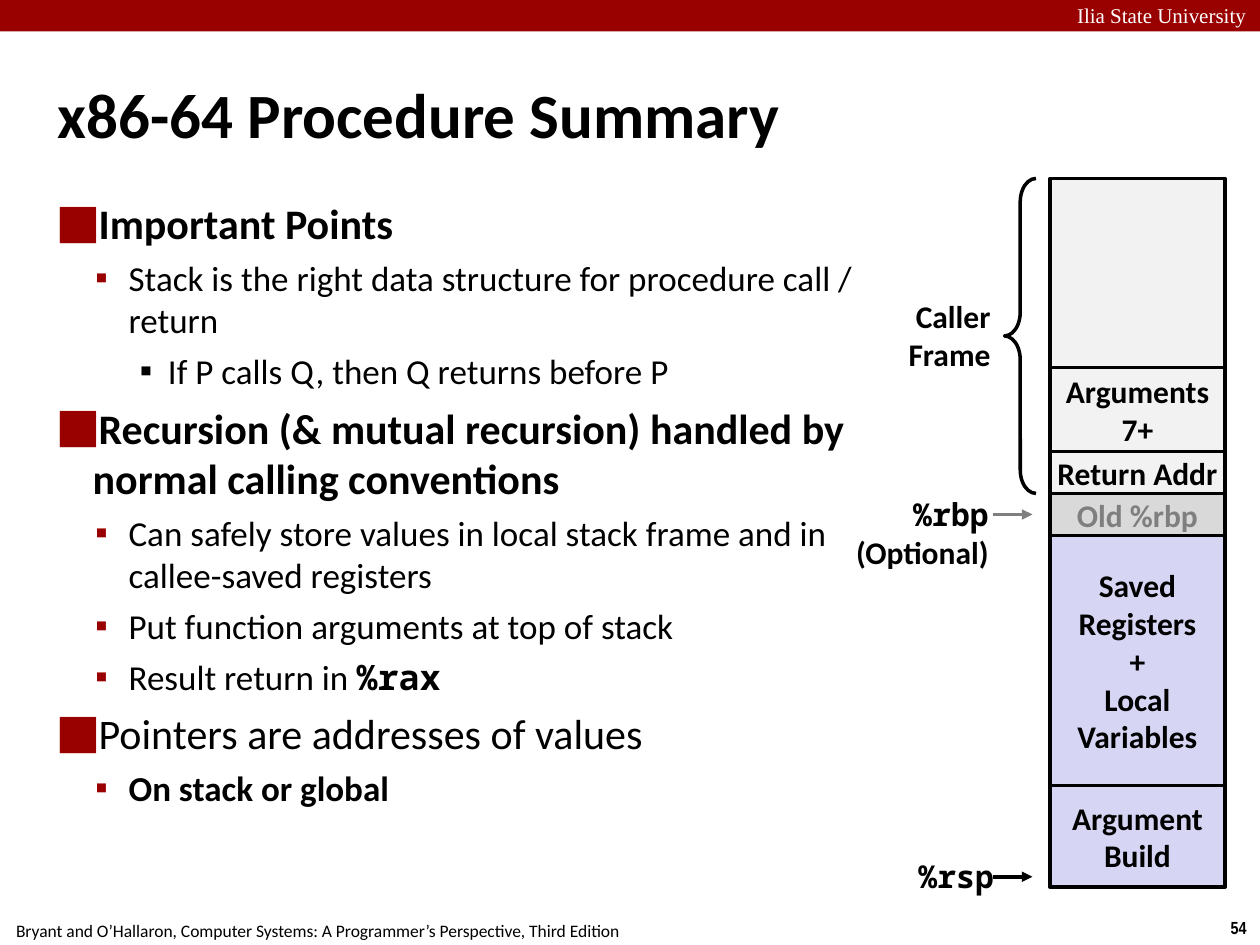
from dataclasses import dataclass

from lxml import etree
from pptx import Presentation
from pptx.dml.color import RGBColor
from pptx.enum import shapes, text
from pptx.oxml import ns
from pptx.util import Pt


@dataclass(frozen=True)
class Theme:
    red: str = "990000"
    black: str = "000000"
    white: str = "FFFFFF"
    grey: str = "7F7F7F"
    caller: str = "F2F2F2"
    optional: str = "D9D9D9"
    callee: str = "D6D6F4"
    sans: str = "Calibri"
    mono: str = "Noto Sans Mono"
    serif: str = "Times New Roman"
    narrow: str = "Arial Narrow"
    title: int = 36
    heading: int = 24
    point: int = 20
    label: int = 18
    banner: int = 12
    footer: int = 10
    line: int = 2


THEME = Theme()
LEFT, CENTER, RIGHT = text.PP_ALIGN.LEFT, text.PP_ALIGN.CENTER, text.PP_ALIGN.RIGHT

# For each level: left margin, hanging indent, space before, size, bullet, bullet colour
LEVELS = [
    (20, -20, 6, THEME.heading, "⬛", THEME.red),
    (40.5, -19, 5, THEME.point, "▪", THEME.red),
    (63, -16, 5, THEME.point, "▪", THEME.black),
]

# Level and spans (text, bold, font) of each point
POINTS = [
    (0, [("Important Points", True, THEME.sans)]),
    (1, [("Stack is the right data structure for procedure call / return", False, THEME.sans)]),
    (2, [("If P calls Q, then Q returns before P", False, THEME.sans)]),
    (0, [("Recursion (& mutual recursion) handled by normal calling conventions",
          True, THEME.sans)]),
    (1, [("Can safely store values in local stack frame and in callee-saved registers",
          False, THEME.sans)]),
    (1, [("Put function arguments at top of stack", False, THEME.sans)]),
    (1, [("Result return in ", False, THEME.sans), ("%rax", True, THEME.mono)]),
    (0, [("Pointers are addresses of values", False, THEME.sans)]),
    (1, [("On stack or global", True, THEME.sans)]),
]

# Height, fill, text colour and lines of each stack cell, top down
CELLS = [
    (108, THEME.caller, THEME.black, ""),
    (48, THEME.caller, THEME.black, "Arguments\n7+"),
    (24, THEME.caller, THEME.black, "Return Addr"),
    (24, THEME.optional, THEME.grey, "Old %rbp"),
    (143, THEME.callee, THEME.black, "Saved\nRegisters\n+\nLocal\nVariables"),
    (58, THEME.callee, THEME.black, "Argument\nBuild"),
]


def points(*lengths):
    return [Pt(length) for length in lengths]


def style(span, size, color=THEME.black, font=THEME.sans, bold=False):
    span.font.size = Pt(size)
    span.font.name = font
    span.font.bold = bold
    span.font.color.rgb = RGBColor.from_string(color)


def set_margins(frame, side, end):
    frame.margin_left = frame.margin_right = Pt(side)
    frame.margin_top = frame.margin_bottom = Pt(end)


def write(frame, words, size, align, **look):
    frame.text = words
    for para in frame.paragraphs:
        para.alignment = align
        for span in para.runs:
            style(span, size, **look)


def add_text(page, area, words, size, align=LEFT, margins=(3, 3), wrap=True, **look):
    frame = page.shapes.add_textbox(*points(*area)).text_frame
    frame.word_wrap = wrap
    set_margins(frame, *margins)
    write(frame, words, size, align, **look)
    return frame


def add_rect(page, area, fill):
    box = page.shapes.add_shape(shapes.MSO_SHAPE.RECTANGLE, *points(*area))
    box.shadow.inherit = False
    box.fill.solid()
    box.fill.fore_color.rgb = RGBColor.from_string(fill)
    return box


def set_line(line, color):
    line.color.rgb = RGBColor.from_string(color)
    line.width = Pt(THEME.line)


def add_arrow(page, left, right, middle, color):
    arrow = page.shapes.add_connector(
        shapes.MSO_CONNECTOR.STRAIGHT, *points(left, middle, right, middle))
    set_line(arrow.line, color)
    etree.SubElement(arrow.line._get_or_add_ln(), ns.qn("a:tailEnd"), type="triangle")
    etree.SubElement(arrow._element.spPr, ns.qn("a:effectLst"))


def add_bullet(para, margin, indent, mark, color):
    props = para._p.get_or_add_pPr()
    props.set("marL", str(Pt(margin)))
    props.set("indent", str(Pt(indent)))
    bullet_color = etree.SubElement(props, ns.qn("a:buClr"))
    etree.SubElement(bullet_color, ns.qn("a:srgbClr"), val=color)
    etree.SubElement(props, ns.qn("a:buFont"), typeface=THEME.sans)
    etree.SubElement(props, ns.qn("a:buChar"), char=mark)


def draw_banner(page, left, top, width, height):
    add_rect(page, (left, top, width, height), THEME.red).line.fill.background()
    add_text(page, (left + 615.5, top + 1.5, 123, 14), "Ilia State University",
             THEME.banner, margins=(0, 0), color=THEME.white, font=THEME.serif)


def draw_footer(page, left, top, width, height):
    small = dict(size=THEME.footer, align=CENTER, margins=(7.2, 3.6), wrap=False)
    add_text(page, (left - 1.5, top + 1.5, 366, height),
             "Bryant and O’Hallaron, Computer Systems: A Programmer’s Perspective, Third Edition",
             **small)
    add_text(page, (left + width - 24.5, top, 24.5, height), "54",
             font=THEME.narrow, bold=True, **small)


def draw_title(page, *area):
    frame = add_text(page, area, "x86-64 Procedure Summary", THEME.title, bold=True)
    frame.vertical_anchor = text.MSO_ANCHOR.MIDDLE


def draw_points(page, *area):
    frame = add_text(page, area, "", THEME.heading)
    for index, (level, spans) in enumerate(POINTS):
        margin, indent, before, size, mark, color = LEVELS[level]
        para = frame.add_paragraph() if index else frame.paragraphs[0]
        add_bullet(para, margin, indent, mark, color)
        para.level = level
        para.space_before = Pt(before if index else 0)
        for words, bold, font in spans:
            span = para.add_run()
            span.text = words
            style(span, size, font=font, bold=bold)


def draw_stack(page, left, top, width):
    for height, fill, color, words in CELLS:
        cell = add_rect(page, (left, top, width, height), fill)
        set_line(cell.line, THEME.black)
        frame = cell.text_frame
        frame.vertical_anchor = text.MSO_ANCHOR.MIDDLE
        set_margins(frame, 0, 0)
        write(frame, words, THEME.label, CENTER, color=color, bold=True)
        top += height


def draw_markers(page, left, top, width):
    """Brace and pointers that label the stack from its left side."""
    right = left + width
    label = dict(size=THEME.label, align=RIGHT, bold=True)
    caller_height = sum(cell[0] for cell in CELLS[:3])
    brace = page.shapes.add_shape(
        shapes.MSO_SHAPE.LEFT_BRACE, *points(right - 18, top, 18, caller_height))
    brace.shadow.inherit = False
    brace.fill.background()
    set_line(brace.line, THEME.black)
    brace.adjustments[0] = 0.75
    add_text(page, (right - 77, top + 65, 54, 50), "Caller\nFrame", **label)

    base = top + caller_height
    add_arrow(page, right - 24.5, right - 2, base + 12, THEME.grey)
    frame = add_text(page, (left, base - 2, 123, 26), "%rbp\n(Optional)", **label)
    frame.paragraphs[0].runs[0].font.name = THEME.mono

    bottom = top + sum(cell[0] for cell in CELLS)
    add_arrow(page, right - 24.5, right - 2, bottom - 6, THEME.black)
    add_text(page, (left + 9, bottom - 20, 117, 26), "%rsp", font=THEME.mono, **label)


def main():
    deck = Presentation()
    deck.slide_width, deck.slide_height = points(720, 540)
    page = deck.slides.add_slide(deck.slide_layouts[6])
    draw_footer(page, 0, 520.5, 720, 19.5)
    draw_banner(page, 0, 0, 720, 18)
    draw_title(page, 30, 20, 660, 90)
    draw_points(page, 30, 110, 462, 412)
    draw_stack(page, 600, 102, 100)
    draw_markers(page, 445, 102, 147)
    deck.save("out.pptx")


if __name__ == "__main__":
    main()
